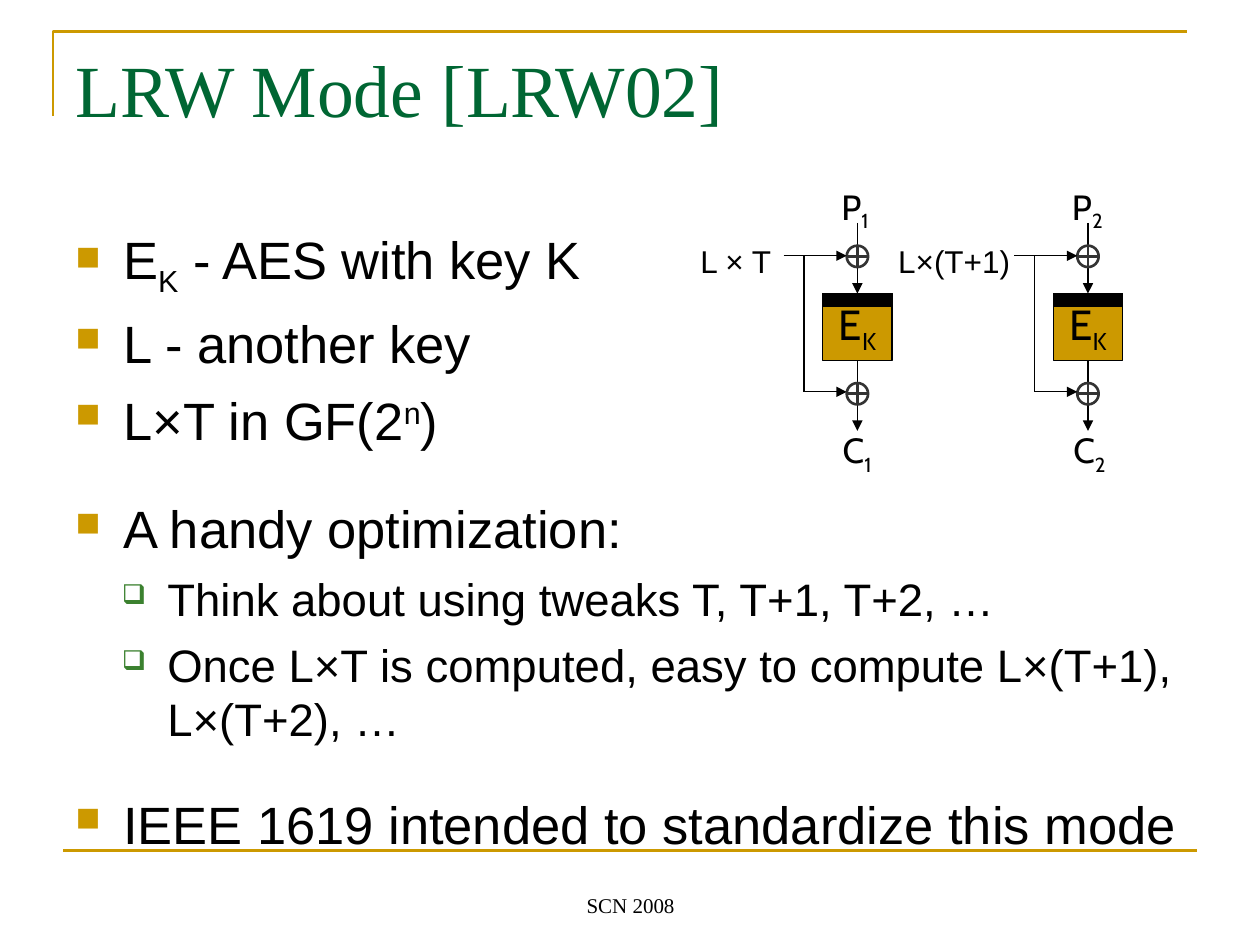
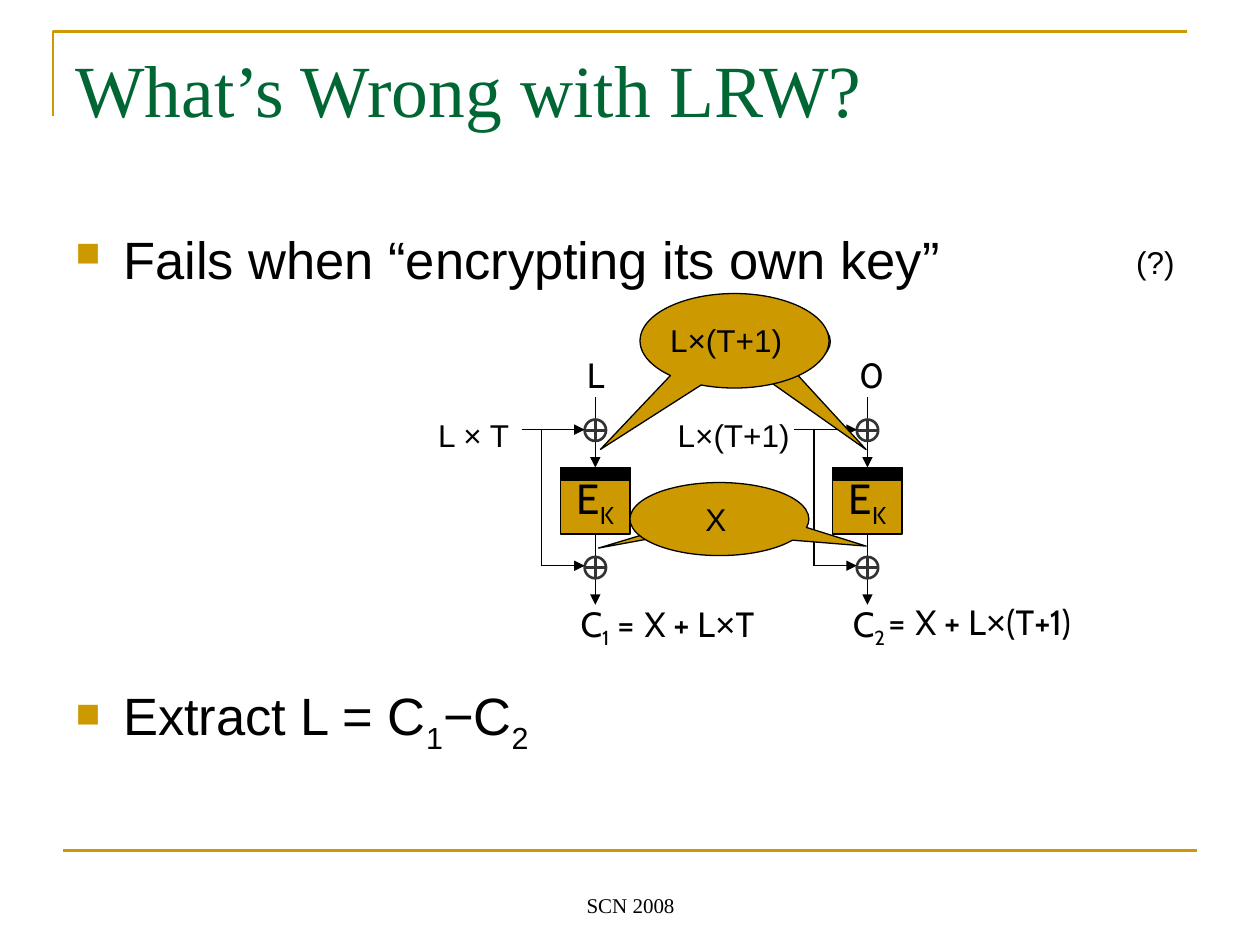
"""Build two slides on the LRW mode and its weakness."""
from lxml import etree
from pptx import Presentation
from pptx.dml.color import RGBColor
from pptx.enum import shapes as sh, text as tx
from pptx.oxml import ns
from pptx.util import Inches, Pt

GOLD = RGBColor(0xCC, 0x99, 0x00)
GREEN = RGBColor(0x00, 0x66, 0x33)
LEAF = RGBColor(0x3B, 0x81, 0x2F)
BLACK = RGBColor(0, 0, 0)
GRAY = RGBColor(0x33, 0x33, 0x33)
SANS, SERIF, MATH = "Arial", "Times New Roman", "Cabin"
SHIFTS = {"_": "-25000", "^": "30000"}
LEVELS = [
    dict(size=30, left=0.38, hang=0.38, gap=7.5, mark="■", ink=GOLD, part=65),
    dict(size=26, left=0.73, hang=0.36, gap=6.5, mark="❑", ink=LEAF, part=60),
]
BOX_W, BOX_H, RING = 0.55, 0.53, 0.17
FAR = "L×(T+1)"


def write(para, parts, size, font, color=BLACK):
    """Add runs; a leading _ or ^ lowers or raises a part."""
    for part in parts:
        run = para.add_run()
        shift = SHIFTS.get(part[0])
        run.text = part[1:] if shift else part
        run.font.size = Pt(size)
        run.font.name = SANS if part in ("×", " ") else font
        run.font.color.rgb = color
        if shift:
            run._r.get_or_add_rPr().set("baseline", shift)


def label(slide, x, y, w, h, parts, size=18, font=SANS, wrap=False,
          align=tx.PP_ALIGN.LEFT, anchor=tx.MSO_ANCHOR.TOP):
    """Add a one-line text box."""
    frame = slide.shapes.add_textbox(
        Inches(x), Inches(y), Inches(w), Inches(h)).text_frame
    frame.word_wrap = wrap
    frame.vertical_anchor = anchor
    frame.paragraphs[0].alignment = align
    write(frame.paragraphs[0], parts, size, font)


def shape(slide, kind, x, y, w, h, fill=None, line=BLACK, width=0.75):
    """Add a flat preset shape."""
    item = slide.shapes.add_shape(
        kind, Inches(x), Inches(y), Inches(w), Inches(h))
    item.shadow.inherit = False
    if fill is None:
        item.fill.background()
    else:
        item.fill.solid()
        item.fill.fore_color.rgb = fill
    item.line.color.rgb = line
    item.line.width = Pt(width)
    return item


def wire(slide, x1, y1, x2, y2, head=True, color=BLACK, width=0.75):
    """Add a straight line, with an arrowhead if wanted."""
    item = slide.shapes.add_connector(
        sh.MSO_CONNECTOR.STRAIGHT, Inches(x1), Inches(y1), Inches(x2), Inches(y2))
    item.line.color.rgb = color
    item.line.width = Pt(width)
    if head:
        etree.SubElement(item.line._get_or_add_ln(), ns.qn("a:tailEnd"),
                         type="triangle")
    etree.SubElement(item._element.spPr, ns.qn("a:effectLst"))
    return item


def page(deck, title):
    """Add a slide with its title, gold rules and footer."""
    slide = deck.slides.add_slide(deck.slide_layouts[5])
    pen = slide.shapes.build_freeform(Inches(0.42), Inches(0.92))
    pen.add_line_segments([(Inches(0.42), Inches(0.25)),
                           (Inches(9.42), Inches(0.25))], close=False)
    edge = pen.convert_to_shape()
    edge.shadow.inherit = False
    edge.fill.background()
    edge.line.color.rgb = GOLD
    edge.line.width = Pt(1.5)
    wire(slide, 0.5, 6.75, 9.5, 6.75, False, GOLD, 1.5)
    head = slide.shapes.title
    head.left, head.top = Inches(0.5), Inches(0.3)
    head.width, head.height = Inches(9), Inches(1.25)
    frame = head.text_frame
    frame.auto_size = tx.MSO_AUTO_SIZE.NONE
    frame.vertical_anchor = tx.MSO_ANCHOR.TOP
    frame.paragraphs[0].alignment = tx.PP_ALIGN.LEFT
    write(frame.paragraphs[0], [title], 42, SERIF, GREEN)
    label(slide, 3.42, 6.83, 3.17, 0.5, ["SCN 2008"], 12, SERIF, True,
          tx.PP_ALIGN.CENTER, tx.MSO_ANCHOR.BOTTOM)
    return slide


def bullet(para, look):
    """Give a paragraph its indent and bullet mark."""
    props = para._p.get_or_add_pPr()
    props.set("marL", str(Inches(look["left"])))
    props.set("indent", str(-Inches(look["hang"])))
    tint = etree.SubElement(props, ns.qn("a:buClr"))
    etree.SubElement(tint, ns.qn("a:srgbClr"), val=str(look["ink"]))
    etree.SubElement(props, ns.qn("a:buSzPct"), val=str(look["part"] * 1000))
    etree.SubElement(props, ns.qn("a:buChar"), char=look["mark"])


def body(slide, rows, height):
    """Add the bullet list from (level, gap, parts) rows."""
    frame = slide.shapes.add_textbox(
        Inches(0.5), Inches(1.75), Inches(9), Inches(height)).text_frame
    frame.word_wrap = True
    for i, (level, gap, parts) in enumerate(rows):
        para = frame.add_paragraph() if i else frame.paragraphs[0]
        look = LEVELS[level]
        para.space_before = Pt(gap or look["gap"])
        bullet(para, look)
        write(para, parts, look["size"], SANS)


def cipher(slide, x, y, tweak, plain, code):
    """Draw one cipher block whose box has its corner at x, y."""
    mid, turn, ring = x + BOX_W / 2, x - 0.15, x + 0.19
    rect = sh.MSO_SHAPE.RECTANGLE
    box = shape(slide, rect, x, y, BOX_W, BOX_H, GOLD)
    frame = box.text_frame
    frame.word_wrap = False
    frame.vertical_anchor = tx.MSO_ANCHOR.MIDDLE
    frame.paragraphs[0].alignment = tx.PP_ALIGN.CENTER
    write(frame.paragraphs[0], ["E", "_K"], 24, MATH)
    shape(slide, rect, x, y, BOX_W, 0.1, BLACK)
    wire(slide, mid, y - 0.56, mid, y).end_connect(box, 0)
    wire(slide, mid, y + BOX_H, mid, y + 1.09).begin_connect(box, 2)
    for top in (y - 0.38, y + 0.71):
        shape(slide, sh.MSO_SHAPE.FLOWCHART_OR, ring, top, RING, RING,
              line=GRAY, width=1.5)
    wire(slide, x - 0.31, y - 0.3, ring, y - 0.3)
    wire(slide, turn, y - 0.3, turn, y + 0.78, False)
    wire(slide, turn, y + 0.78, ring, y + 0.78)
    back, wide = (1.33, 1.14) if tweak == FAR else (1.07, 0.83)
    label(slide, x - back, y - 0.46, wide, 0.4, [tweak])
    shift, rise, wide = (0.05, 0.91, 0.46) if len(plain) > 1 else (0.11, 0.95, 0.35)
    label(slide, x + shift, y - rise, wide, 0.48, plain, 20, MATH)
    label(slide, x + 0.06, y + 1.02, 0.47, 0.48, code, 20, MATH)


def bubble(slide, x, y, w, h, *tip):
    """Add a gold callout pointing at tip."""
    item = shape(slide, sh.MSO_SHAPE.OVAL_CALLOUT, x, y, w, h, GOLD)
    for i, value in enumerate(tip):
        item.adjustments[i] = value


def mode(deck):
    """Build the slide that presents the mode."""
    slide = page(deck, "LRW Mode [LRW02]")
    body(slide, [
        (0, None, ["E", "_K", " - AES with key K"]),
        (0, None, ["L - another key"]),
        (0, None, ["L×T in GF(2", "^n", ")"]),
        (0, 26.2, ["A handy optimization:"]),
        (1, None, ["Think about using tweaks T, T+1, T+2, …"]),
        (1, None, ["Once L×T is computed, easy to compute L×(T+1), L×(T+2), …"]),
        (0, 26.2, ["IEEE 1619 intended to standardize this mode"]),
    ], 5.25)
    cipher(slide, 6.53, 2.33, "L × T", ["P", "_1"], ["C", "_1"])
    cipher(slide, 8.36, 2.33, FAR, ["P", "_2"], ["C", "_2"])


def flaw(deck):
    """Build the slide that shows the weakness."""
    slide = page(deck, "What’s Wrong with LRW?")
    body(slide, [
        (0, None, ["Fails when “encrypting its own key”"]),
        (0, 225, ["Extract L = C", "_1", "−C", "_2"]),
    ], 4.95)
    cipher(slide, 4.45, 3.71, "L × T", ["L"], ["C", "_1"])
    cipher(slide, 6.61, 3.71, FAR, ["0"], ["C", "_2"])
    bubble(slide, 5.17, 2.42, 1.42, 0.58, 0.7, 1.48)
    bubble(slide, 5.08, 2.33, 1.5, 0.75, -0.71, 1.15)
    label(slide, 5.22, 2.5, 1.14, 0.4, [FAR])
    bubble(slide, 5.17, 4, 1.08, 0.25, -0.89, 0.9)
    bubble(slide, 5, 3.83, 1.42, 0.58, 0.82, 0.37)
    label(slide, 5.5, 3.92, 0.37, 0.4, ["X"])
    for x, y, w, end in ((6.95, 4.72, 1.9, "(T+1)"), (4.8, 4.73, 1.41, "T")):
        label(slide, x, y, w, 0.44, ["=", " ", "X + L", "×", end], 20, MATH)
    label(slide, 8.82, 1.88, 0.7, 0.4, ["(?)"], wrap=True,
          align=tx.PP_ALIGN.CENTER, anchor=tx.MSO_ANCHOR.MIDDLE)


def main():
    """Build and save the deck."""
    deck = Presentation()
    deck.slide_width, deck.slide_height = Inches(10), Inches(7.5)
    mode(deck)
    flaw(deck)
    deck.save("out.pptx")


if __name__ == "__main__":
    main()
